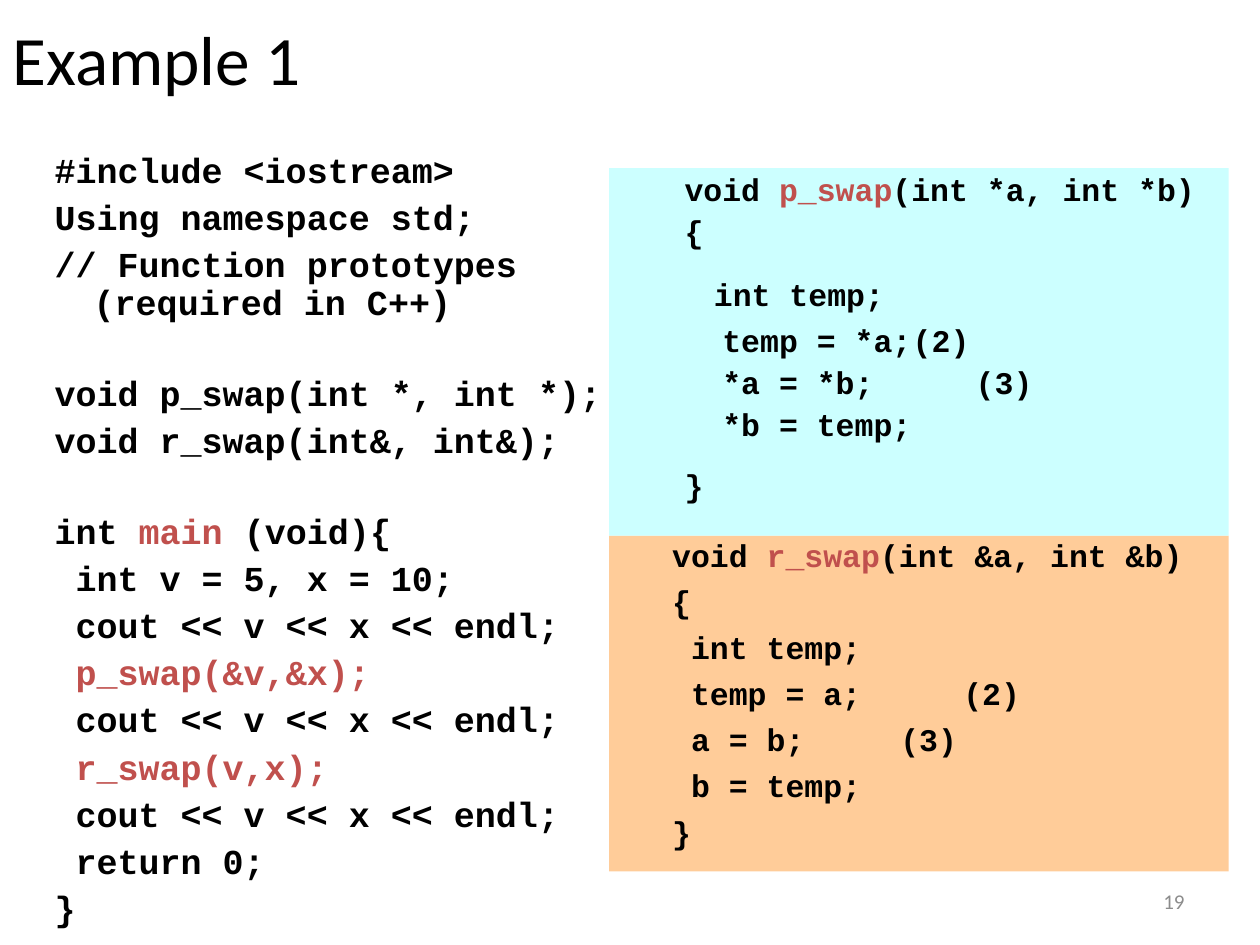
from pptx import Presentation
from pptx.dml.color import RGBColor
from pptx.enum.shapes import MSO_SHAPE
from pptx.enum.text import MSO_ANCHOR, PP_ALIGN
from pptx.util import Cm, Pt

COLORS = {"text": "000000", "accent": "C0504D", "number": "8C8C8C",
          "pointer": "CCFFFF", "reference": "FFCC99"}
CODE_FONT = "Courier New"

# Content: a line is a list of (text, format) runs, plus its own space before, if any
PRINT = ([(" cout << v << x << endl;", {})], None)
MAIN = [
    ([("#include <iostream>", {})], None),
    ([("Using namespace std;", {})], None),
    ([("// Function prototypes (required in C++)", {})], None),
    ([("void p_swap(int *, int *);", {})], 30.5),
    ([("void r_swap(int&, int&);", {})], None),
    ([("int ", {}), ("main", {"color": "accent"}), (" (void){", {})], 30.5),
    ([(" int v = 5, x = 10;", {})], None),
    PRINT,
    ([(" ", {}), ("p_swap(&v,&x);", {"color": "accent"})], None),
    PRINT,
    ([(" ", {}), ("r_swap(v,x);", {"color": "accent"})], None),
    PRINT,
    ([(" return 0;", {})], None),
    ([("}", {})], None),
]
POINTER_SWAP = [
    ([("void ", {}), ("p_swap", {"color": "accent"}), ("(int *a, int *b)", {})], None),
    ([("{", {})], None),
    ([(" ", {"size": 28}), ("int temp;", {})], 7.4),
    ([("  temp = *a;\t(2)", {})], None),
    ([("  *a = *b;\t\t(3)", {})], None),
    ([("  *b = temp;", {})], None),
    ([("}", {})], 15.4),
]
REFERENCE_SWAP = [
    ([("void ", {}), ("r_swap", {"color": "accent"}), ("(int &a, int &b)", {})], None),
    ([("{", {})], None),
    ([(" int temp;", {})], None),
    ([(" temp = a;\t\t(2)", {})], None),
    ([(" a = b;\t\t(3)", {})], None),
    ([(" b = temp;", {})], None),
    ([("}", {})], None),
]


def add_run(p, text, size=18, font=CODE_FONT, color="text", bold=True):
    r = p.add_run()
    r.text = text
    r.font.size, r.font.name, r.font.bold = Pt(size), font, bold
    r.font.color.rgb = RGBColor.from_string(COLORS[color])


def add_code(sp, lines, size, spacing):
    """Fill a shape with code lines that share one hanging indent."""
    tf = sp.text_frame
    tf.word_wrap = True
    tf.vertical_anchor = MSO_ANCHOR.TOP
    for i, (runs, before) in enumerate(lines):
        p = tf.add_paragraph() if i else tf.paragraphs[0]
        p.alignment = PP_ALIGN.LEFT
        p.line_spacing = spacing
        p.space_before = Pt(before or size * 0.265)
        pPr = p._p.get_or_add_pPr()
        pPr.set("marL", str(Cm(2.06)))
        pPr.set("indent", str(Cm(-0.79)))
        for text, fmt in runs:
            add_run(p, text, **{"size": size, **fmt})


def add_panel(s, top, height, fill):
    sp = s.shapes.add_shape(MSO_SHAPE.RECTANGLE, Cm(12.28), Cm(top), Cm(12.49), Cm(height))
    sp.shadow.inherit = False
    sp.fill.solid()
    sp.fill.fore_color.rgb = RGBColor.from_string(COLORS[fill])
    sp.line.fill.background()
    return sp


prs = Presentation()
prs.slide_width, prs.slide_height = Cm(25.4), Cm(19.05)
s = prs.slides.add_slide(prs.slide_layouts[5])

# Title
title = s.shapes.title
title.left, title.top, title.width, title.height = Cm(0), Cm(0.21), Cm(25.4), Cm(1.9)
title.text_frame.vertical_anchor = MSO_ANCHOR.MIDDLE
p = title.text_frame.paragraphs[0]
p.alignment = PP_ALIGN.LEFT
add_run(p, "Example 1", size=39.6, font="Calibri", bold=False)

# Main program
main_box = s.shapes.add_textbox(Cm(-0.42), Cm(2.96), Cm(12.91), Cm(15.88))
add_code(main_box, MAIN, 20, 0.9)

# Swap functions, stacked without a gap
panel_top, pointer_height = 3.39, 7.41
reference = add_panel(s, panel_top + pointer_height, 6.77, "reference")
tf = reference.text_frame
tf.margin_left = tf.margin_top = tf.margin_right = tf.margin_bottom = 0
add_code(reference, REFERENCE_SWAP, 18, 1.0)
add_code(add_panel(s, panel_top, pointer_height, "pointer"), POINTER_SWAP, 18, 0.9)

# Slide number
number = s.shapes.add_textbox(Cm(18.2), Cm(17.66), Cm(5.93), Cm(1.01))
number.text_frame.word_wrap = True
number.text_frame.vertical_anchor = MSO_ANCHOR.MIDDLE
p = number.text_frame.paragraphs[0]
p.alignment = PP_ALIGN.RIGHT
add_run(p, "19", size=12, font="Calibri", color="number", bold=False)

prs.save("out.pptx")
